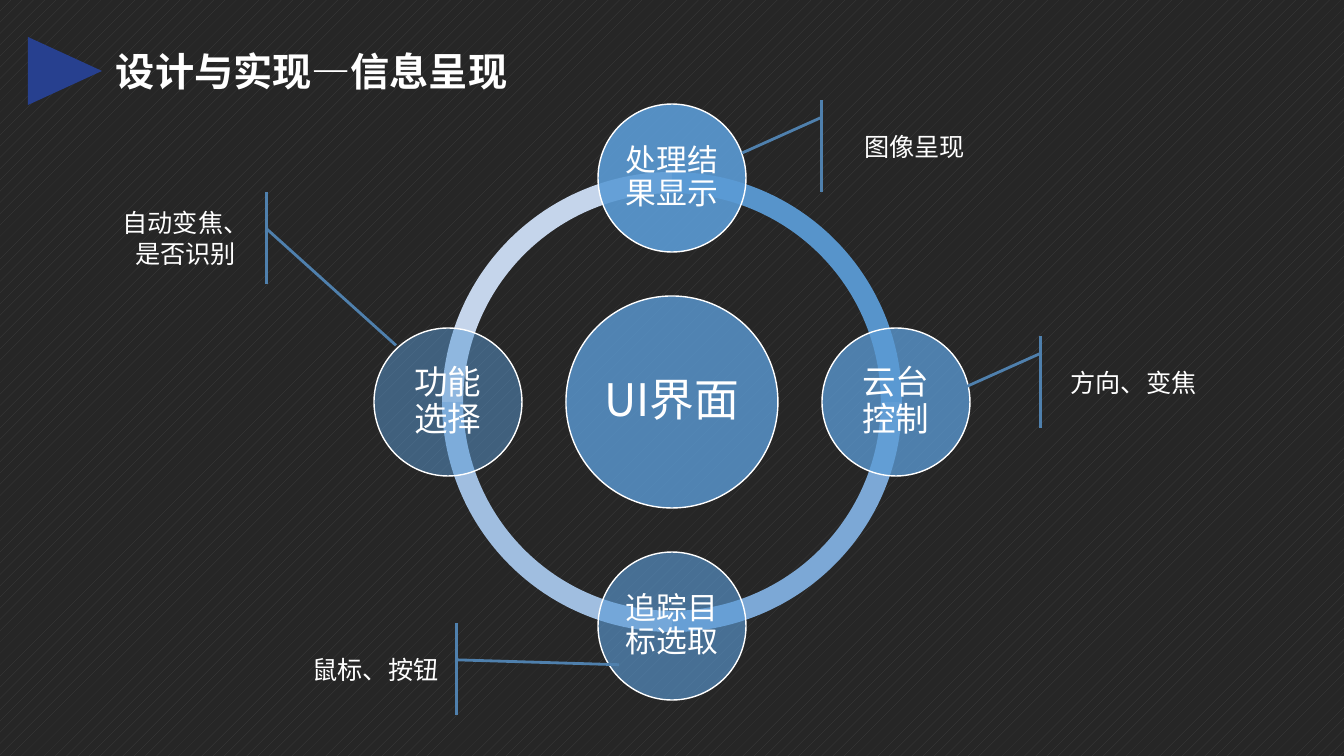
from lxml import etree
from pptx import Presentation
from pptx import util as u
from pptx.dml.color import RGBColor
from pptx.enum import dml, shapes, text
from pptx.oxml.ns import qn

PX = 914400 / 100.8
FONT = "Noto Sans CJK SC"
HUES = {"back": "262626", "dots": "404040", "white": "FFFFFF", "disc": "5B9BD5",
        "call": "4F80AD", "logo": "27408F"}
KINDS = shapes.MSO_SHAPE

deck = Presentation()
deck.slide_width, deck.slide_height = round(1344 * PX), round(756 * PX)
slide = deck.slides.add_slide(deck.slide_layouts[6])
back = slide.background.fill
back.patterned()
back.pattern = dml.MSO_PATTERN.PERCENT_10
back.fore_color.rgb = RGBColor.from_string(HUES["dots"])
back.back_color.rgb = RGBColor.from_string(HUES["back"])


def draw(kind, box, fill=None, line=None, width=1):
    shape = slide.shapes.add_shape(kind, *[round(n * PX) for n in box])
    shape.shadow.inherit = False
    if fill:
        shape.fill.solid()
        shape.fill.fore_color.rgb = RGBColor.from_string(fill)
    else:
        shape.fill.background()
    if line:
        shape.line.color.rgb = RGBColor.from_string(line)
        shape.line.width = u.Pt(width)
    else:
        shape.line.fill.background()
    return shape


def write(shape, words, size, align=text.PP_ALIGN.CENTER):
    frame = shape.text_frame
    frame.word_wrap = True
    frame.text = words
    para = frame.paragraphs[0]
    para.alignment = align
    font = para.runs[0].font
    font.name, font.size = FONT, u.Pt(size)
    font.color.rgb = RGBColor.from_string(HUES["white"])
    etree.SubElement(para.runs[0].font._element, qn("a:ea")).set("typeface", FONT)
    return para


logo = draw(KINDS.ISOSCELES_TRIANGLE, (31, 34, 68, 74), HUES["logo"])
logo.rotation = 90

title = slide.shapes.add_textbox(*[round(n * PX) for n in (106, 42, 462, 57)])
head = write(title, "设计与实现—信息呈现", 28, text.PP_ALIGN.LEFT)
head.runs[0].font.bold = True

MIDX, MIDY, RING, REACH = 672, 402, 460, 224
arcs = [(108, 162, "C5D5EB"), (54, 108, "A0BEE0"), (0, 54, "7CA8D6"), (162, 0, "5794CB")]
for start, end, hue in arcs:
    arc = draw(KINDS.BLOCK_ARC, (MIDX - RING / 2, MIDY - RING / 2, RING, RING), hue)
    for i, value in enumerate((start, end, 0.046)):
        arc.adjustments[i] = value

discs = [
    ("UI界面", 0, 0, 212, 32, 80, 4),
    ("处理结果显示", 0, -1, 148, 22, 90, 3),
    ("云台控制", 1, 0, 148, 24, 77, 3),
    ("追踪目标选取", 0, 1, 148, 22, 63, 3),
    ("功能选择", -1, 0, 148, 24, 50, 3),
]
for words, dx, dy, size, points, alpha, inset in discs:
    box = (MIDX + dx * REACH - size / 2, MIDY + dy * REACH - size / 2, size, size)
    disc = draw(KINDS.OVAL, box, HUES["disc"], HUES["white"])
    tint = disc._element.spPr.find(qn("a:solidFill"))[0]
    etree.SubElement(tint, qn("a:alpha")).set("val", str(alpha * 1000))
    frame = disc.text_frame
    frame.margin_left = frame.margin_right = round(inset * PX)
    frame.margin_top = frame.margin_bottom = round(inset * PX)
    write(disc, words, points).line_spacing = 0.9

calls = [
    ("图像呈现", 835, 100, (0.188, -0.083, 0.577, -0.585)),
    ("方向、变焦", 1054, 336, (0.188, -0.083, 0.577, -0.585)),
    ("自动变焦、是否识别", 106, 192, (0.401, 1.01, 1.668, 1.824)),
    ("鼠标、按钮", 296, 623, (0.401, 1.01, 0.454, 2.031)),
]
for words, left, top, bends in calls:
    call = draw(KINDS.LINE_CALLOUT_1_ACCENT_BAR, (left, top, 159, 92), None, HUES["call"], 2)
    for i, bend in enumerate(bends):
        call.adjustments[i] = bend
    write(call, words, 18)

deck.save("out.pptx")
